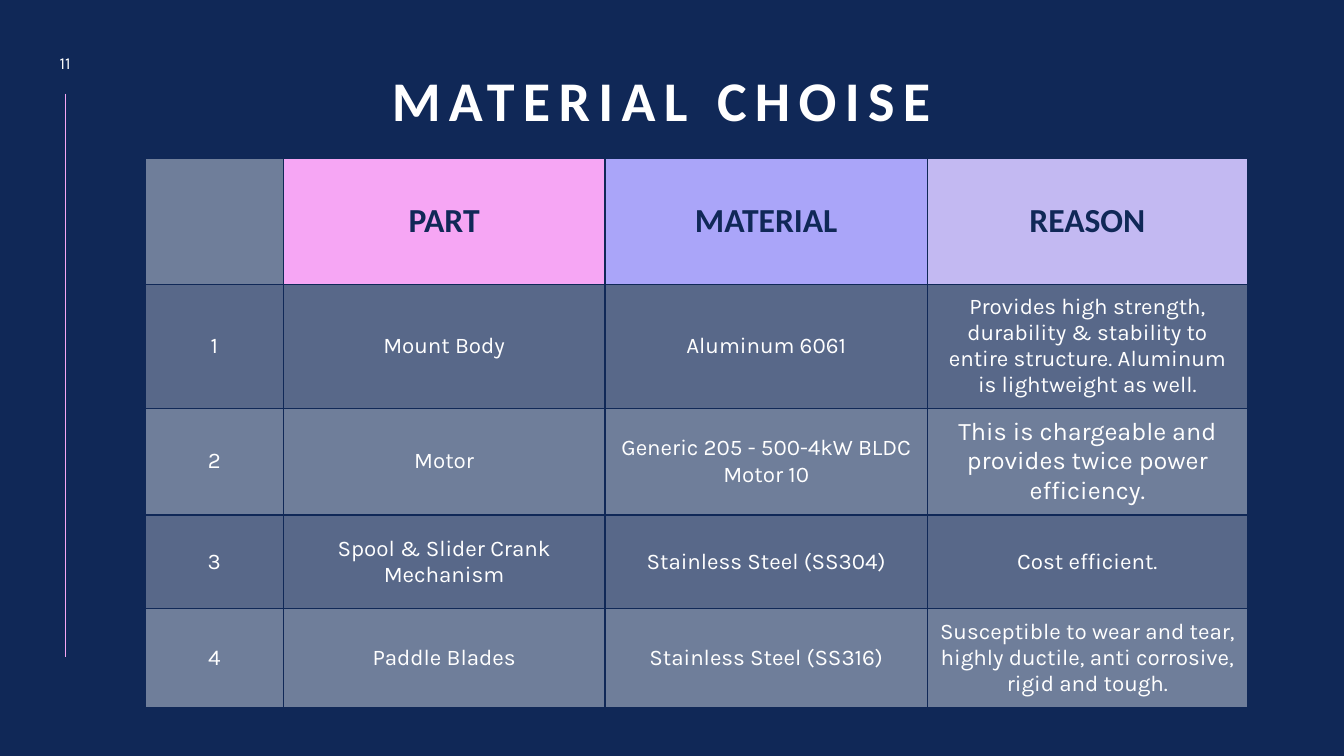
from dataclasses import dataclass

from pptx import Presentation
from pptx.dml.color import RGBColor
from pptx.enum.shapes import MSO_CONNECTOR
from pptx.enum.text import MSO_ANCHOR, PP_ALIGN
from pptx.oxml import parse_xml
from pptx.oxml.ns import nsdecls, qn
from pptx.util import Inches, Pt

WIDTH, HEIGHT = Inches(13.33), Inches(7.5)
COLOURS = {
    "navy": "102857",
    "white": "FFFFFF",
    "pink": "F6A6F4",
    "violet": "AAA5F9",
    "lilac": "C3B9F2",
}
FORMATS = {
    "title": {"name": "Calibri", "size": Pt(40), "bold": True, "colour": "white"},
    "number": {"name": "Karla", "size": Pt(12), "bold": False, "colour": "white"},
    "header": {"name": "Calibri", "size": Pt(24), "bold": True, "colour": "navy"},
    "body": {"name": "Karla", "size": Pt(16), "bold": False, "colour": "white"},
    "large": {"name": "Karla", "size": Pt(18), "bold": False, "colour": "white"},
}


@dataclass(frozen=True)
class Area:
    """A rectangle in percent of the slide's width and height."""
    left: float
    top: float
    width: float
    height: float


@dataclass(frozen=True)
class Label:
    text: str
    style: str
    area: Area
    anchor: MSO_ANCHOR
    line_spacing: float = 1.0
    letter_spacing: int = 0


@dataclass(frozen=True)
class Entry:
    text: str
    style: str = "body"
    fill: str = "white"
    opacity: int = 100


LABELS = [
    Label("MATERIAL CHOISE ", "title", Area(9, 2.67, 82, 15.6),
          MSO_ANCHOR.BOTTOM, 0.9, 600),
    Label("11", "number", Area(2.7, 6, 4.28, 4.53), MSO_ANCHOR.MIDDLE),
]
TABLE_LEFT, TABLE_TOP = 10.8, 20.93
COLUMN_WIDTHS = [10.28, 23.93, 24.01, 23.78]
ROW_HEIGHTS = [16.67, 16.4, 14.13, 12.4, 13.07]
HEADERS = [
    Entry("", "header", opacity=40),
    Entry("PART", "header", "pink"),
    Entry("MATERIAL", "header", "violet"),
    Entry("REASON", "header", "lilac"),
]
CHOICES = [
    ("Mount Body", "Aluminum 6061",
     "Provides high strength, durability & stability to entire structure. "
     "Aluminum is lightweight as well."),
    ("Motor", "Generic 205 - 500-4kW BLDC Motor 10",
     "This is chargeable and provides twice power efficiency."),
    ("Spool & Slider Crank Mechanism", "Stainless Steel (SS304)", "Cost efficient."),
    ("Paddle Blades", "Stainless Steel (SS316)",
     "Susceptible to wear and tear, highly ductile, anti corrosive, rigid and tough."),
]
LARGE_CELL = (2, 3)


def across(percent: float) -> int:
    return round(WIDTH * percent / 100)


def down(percent: float) -> int:
    return round(HEIGHT * percent / 100)


def colour(name: str) -> RGBColor:
    return RGBColor.from_string(COLOURS[name])


def write(para, text: str, style: str):
    para.alignment = PP_ALIGN.CENTER
    span = para.add_run()
    span.text = text
    for key, value in FORMATS[style].items():
        if key == "colour":
            span.font.color.rgb = colour(value)
        else:
            setattr(span.font, key, value)
    return span


def draw_label(page, label: Label) -> None:
    area = label.area
    box = page.shapes.add_textbox(across(area.left), down(area.top),
                                  across(area.width), down(area.height))
    box.text_frame.word_wrap = True
    box.text_frame.vertical_anchor = label.anchor
    para = box.text_frame.paragraphs[0]
    para.line_spacing = label.line_spacing
    span = write(para, label.text, label.style)
    if label.letter_spacing:
        span.font._element.set("spc", str(label.letter_spacing))


def draw_side_line(page) -> None:
    line = page.shapes.add_connector(MSO_CONNECTOR.STRAIGHT, across(4.88), down(12.4),
                                     across(4.88), down(86.93))
    line.line.color.rgb = colour("pink")
    line.line.width = Pt(0.5)
    line._element.spPr.append(parse_xml(f"<a:effectLst {nsdecls('a')}/>"))


def draw_cell(cell, entry: Entry) -> None:
    cell.vertical_anchor = MSO_ANCHOR.MIDDLE
    if entry.text:
        write(cell.text_frame.paragraphs[0], entry.text, entry.style)
    cell.fill.solid()
    cell.fill.fore_color.rgb = colour(entry.fill)
    properties = cell._tc.get_or_add_tcPr()
    # Opacity of the fill
    if entry.opacity < 100:
        fill_colour = properties.find(qn("a:solidFill")).find(qn("a:srgbClr"))
        fill_colour.append(parse_xml(
            f'<a:alpha {nsdecls("a")} val="{entry.opacity * 1000}"/>'))
    # Borders come before the fill
    for position, side in enumerate("LRTB"):
        properties.insert(position, parse_xml(
            f'<a:ln{side} {nsdecls("a")} w="{Pt(1)}"><a:solidFill>'
            f'<a:srgbClr val="{COLOURS["navy"]}"/></a:solidFill></a:ln{side}>'))


def material_rows() -> list[list[Entry]]:
    rows = [HEADERS]
    for number, choice in enumerate(CHOICES, start=1):
        opacity = 30 if number % 2 else 40
        rows.append([
            Entry(text, "large" if (number, column) == LARGE_CELL else "body",
                  opacity=opacity)
            for column, text in enumerate((str(number), *choice))
        ])
    return rows


def draw_table(page) -> None:
    table = page.shapes.add_table(
        len(ROW_HEIGHTS), len(COLUMN_WIDTHS), across(TABLE_LEFT), down(TABLE_TOP),
        across(sum(COLUMN_WIDTHS)), down(sum(ROW_HEIGHTS))).table
    table.first_row = table.horz_banding = False
    for column, width in zip(table.columns, COLUMN_WIDTHS):
        column.width = across(width)
    for row, height, entries in zip(table.rows, ROW_HEIGHTS, material_rows()):
        row.height = down(height)
        for cell, entry in zip(row.cells, entries):
            draw_cell(cell, entry)


def main() -> None:
    deck = Presentation()
    deck.slide_width, deck.slide_height = WIDTH, HEIGHT
    page = deck.slides.add_slide(deck.slide_layouts[6])
    page.background.fill.solid()
    page.background.fill.fore_color.rgb = colour("navy")

    # Side line, title and page number
    draw_side_line(page)
    for label in LABELS:
        draw_label(page, label)

    # Material table
    draw_table(page)
    deck.save("out.pptx")


if __name__ == "__main__":
    main()
